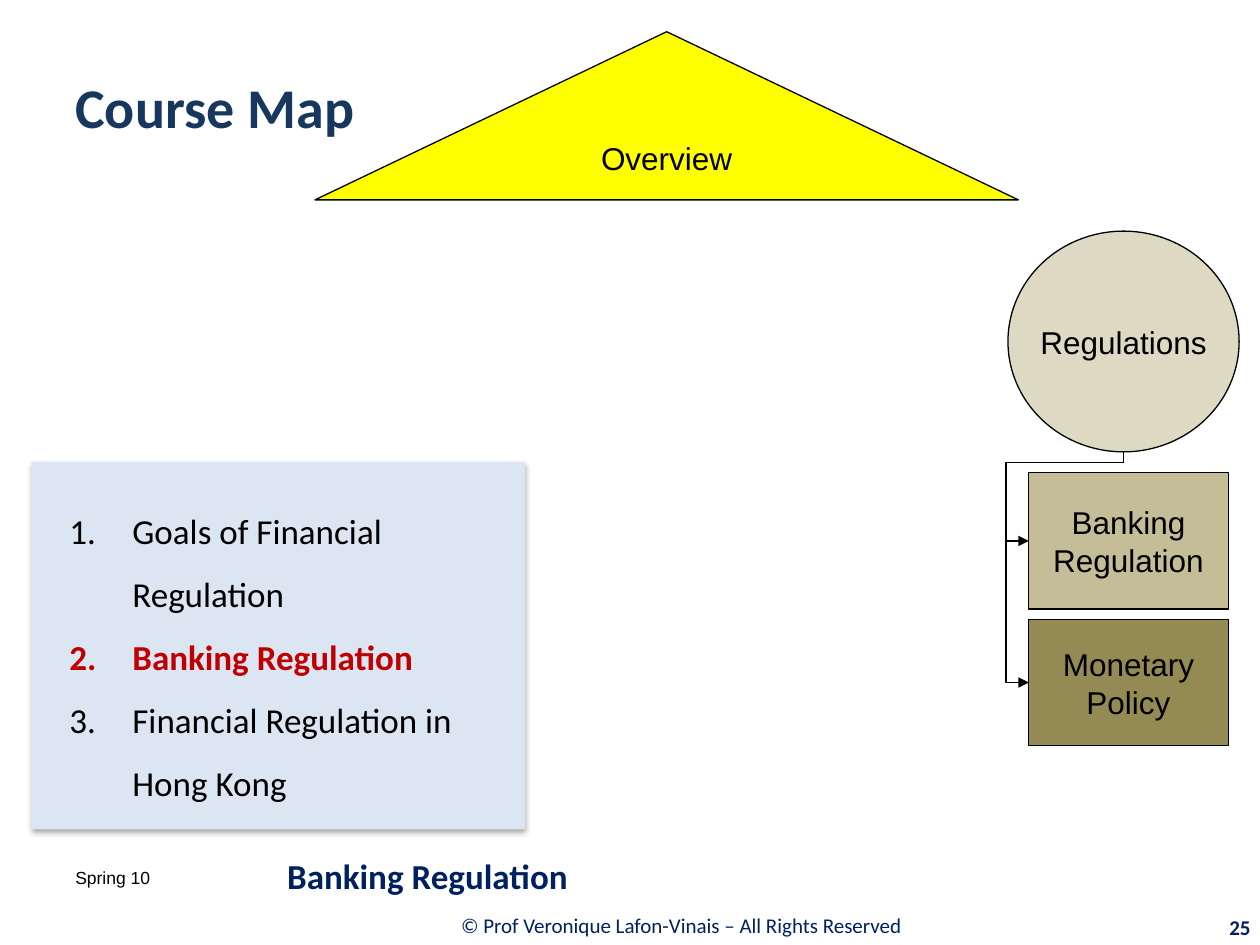
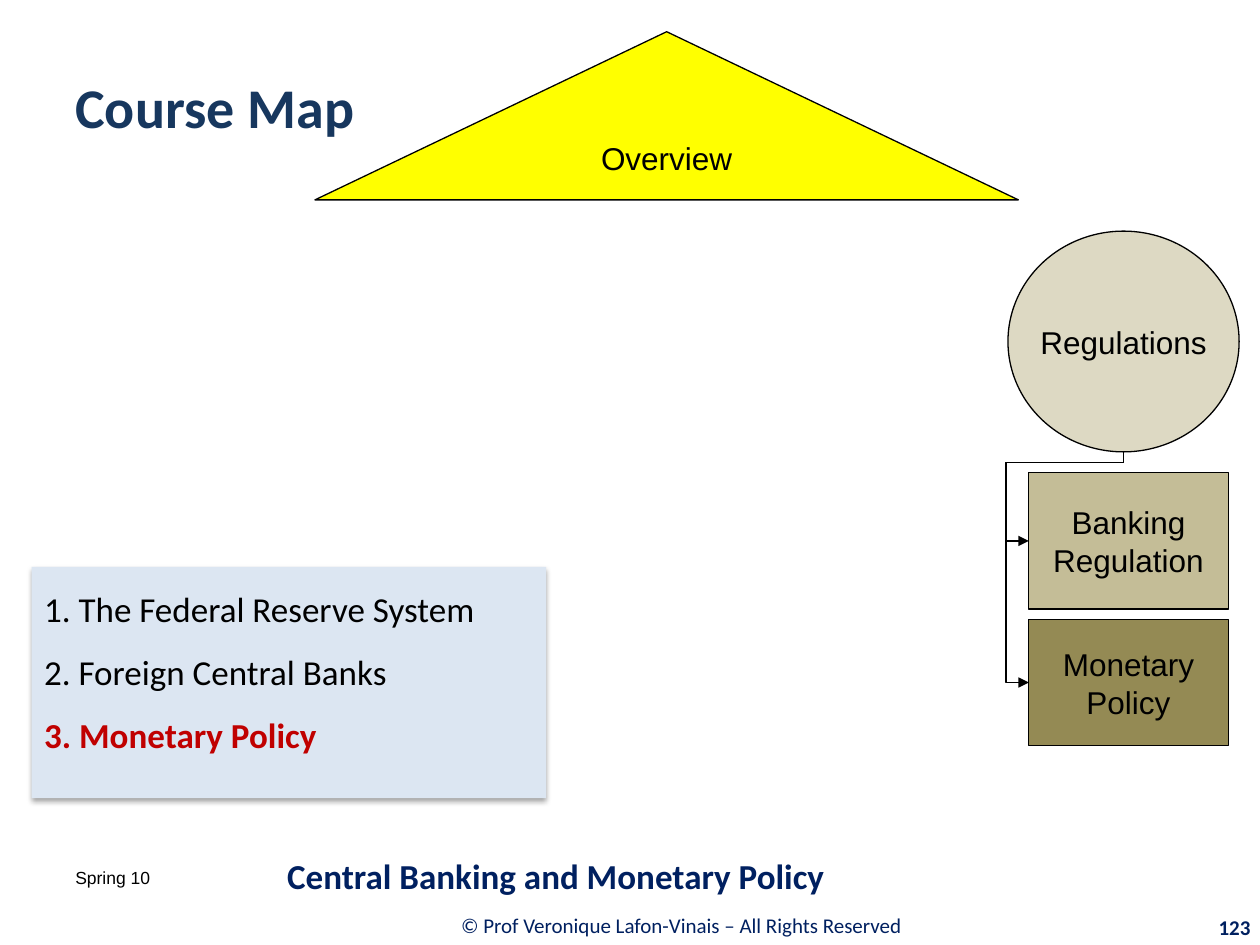
from lxml import etree
from pptx import Presentation
from pptx.dml.color import RGBColor
from pptx.enum.shapes import MSO_CONNECTOR, MSO_SHAPE
from pptx.enum.text import MSO_ANCHOR, PP_ALIGN
from pptx.oxml.ns import qn
from pptx.util import Cm, Pt

LEFT, CENTER, RIGHT = PP_ALIGN.LEFT, PP_ALIGN.CENTER, PP_ALIGN.RIGHT
TOP, MIDDLE = MSO_ANCHOR.TOP, MSO_ANCHOR.MIDDLE
RECT, OVAL, EXTRACT = MSO_SHAPE.RECTANGLE, MSO_SHAPE.OVAL, MSO_SHAPE.FLOWCHART_EXTRACT
ELBOW = MSO_CONNECTOR.ELBOW

COLORS = {
    "black": "000000", "title": "17375E", "navy": "002060", "current": "C00000",
    "panel": "DCE6F2", "sand": "DDD9C3", "tan": "C4BD97", "olive": "948A54",
    "yellow": "FFFF00",
}

# The agenda panel is (left, top, width, height) in cm; current is the item in red.
SLIDES = [
    {"topic": "Banking Regulation", "number": "25", "current": 1, "numbered": True,
     "panel": (0.64, 9.31, 9.95, 7.41), "anchor": MIDDLE,
     "agenda": ["Goals of Financial Regulation", "Banking Regulation",
                "Financial Regulation in Hong Kong"]},
    {"topic": "Central Banking and Monetary Policy", "number": "123", "current": 2,
     "numbered": False, "panel": (0.64, 11.43, 10.37, 4.66), "anchor": TOP,
     "agenda": ["1. The Federal Reserve System", "2. Foreign Central Banks",
                "3. Monetary Policy"]},
]

# Regulations circle and the two boxes it leads to
CIRCLE = (20.32, 4.66, 4.66, 4.45)
BOXES = [("Banking Regulation", (20.74, 9.53, 4.02, 2.75), "tan"),
         ("Monetary Policy", (20.74, 12.49, 4.02, 2.54), "olive")]
ELBOW_DROP, ELBOW_REACH = 0.21, 1.24


def add_text(s, box, text, size, font, color, bold=False, align=LEFT, anchor=MIDDLE):
    tb = s.shapes.add_textbox(*map(Cm, box))
    tf = tb.text_frame
    tf.word_wrap = True
    tf.vertical_anchor = anchor
    p = tf.paragraphs[0]
    p.text = text
    p.alignment = align
    f = p.runs[0].font
    f.size, f.name, f.bold = Pt(size), font, bold
    f.color.rgb = RGBColor.from_string(COLORS[color])


def add_node(s, kind, box, fill, text="", wrap=True):
    """Add a filled shape; with text it also gets a thin outline and a label."""
    sp = s.shapes.add_shape(kind, *map(Cm, box))
    sp.shadow.inherit = False
    sp.fill.solid()
    sp.fill.fore_color.rgb = RGBColor.from_string(COLORS[fill])
    tf = sp.text_frame
    tf.word_wrap = wrap
    tf.vertical_anchor = MIDDLE
    if not text:
        sp.line.fill.background()
        return sp
    sp.line.color.rgb = RGBColor.from_string(COLORS["black"])
    sp.line.width = Pt(0.75)
    p = tf.paragraphs[0]
    p.text = text
    p.alignment = CENTER
    f = p.runs[0].font
    f.size, f.name = Pt(18), "Arial"
    f.color.rgb = RGBColor.from_string(COLORS["black"])
    return sp


prs = Presentation()
prs.slide_width, prs.slide_height = Cm(25.4), Cm(19.05)

for item in SLIDES:
    s = prs.slides.add_slide(prs.slide_layouts[6])

    # Footers and title
    add_text(s, (5.51, 18.16, 16.46, 0.99),
             "© Prof Veronique Lafon-Vinais – All Rights Reserved",
             12, "Calibri", "navy", align=CENTER)
    add_text(s, (1.27, 17.36, 5.92, 1.27), "Spring 10", 10, "Arial", "black", anchor=TOP)
    add_text(s, (1.27, 0.33, 6.55, 3.61), "Course Map", 32, "Calibri", "title", True)
    add_text(s, (22.89, 18.29, 2.57, 0.81), item["number"],
             12, "Calibri", "navy", True, RIGHT)

    # Agenda panel with a soft shadow
    panel = add_node(s, RECT, item["panel"], "panel")
    effects = panel._element.spPr.find(qn("a:effectLst"))
    shadow = etree.SubElement(effects, qn("a:outerShdw"), blurRad="40000", dist="23000",
                              dir="5400000", rotWithShape="0")
    tint = etree.SubElement(shadow, qn("a:srgbClr"), val=COLORS["black"])
    etree.SubElement(tint, qn("a:alpha"), val="35000")

    tf = panel.text_frame
    tf.vertical_anchor = item["anchor"]
    if item["anchor"] == TOP:
        tf.margin_top = 0
    tf.text = "\n".join(item["agenda"])
    for i, p in enumerate(tf.paragraphs):
        p.alignment = LEFT
        p.line_spacing = 1.5
        if item["numbered"]:
            pPr = p._p.get_or_add_pPr()
            pPr.set("marL", str(Cm(1.78)))
            pPr.set("indent", str(-Cm(1.27)))
            etree.SubElement(pPr, qn("a:buFont"), typeface="+mj-lt")
            etree.SubElement(pPr, qn("a:buAutoNum"), type="arabicPeriod")
        current = i == item["current"]
        f = p.runs[0].font
        f.size, f.name, f.bold = Pt(20), "Calibri", current
        f.color.rgb = RGBColor.from_string(COLORS["current" if current else "black"])

    add_text(s, (5.54, 17.06, 19.86, 1.19), item["topic"], 20, "Calibri", "navy", True)

    # Course map
    circle = add_node(s, OVAL, CIRCLE, "sand", "Regulations", wrap=False)
    boxes = [add_node(s, RECT, box, fill, text) for text, box, fill in BOXES]

    # Elbows from the foot of the circle to the left side of each box
    start_x = CIRCLE[0] + CIRCLE[2] / 2
    start_y = CIRCLE[1] + CIRCLE[3]
    for sp, (_, (end_x, top, _, height), _) in zip(boxes, BOXES):
        end_y = top + height / 2
        drop, run = end_y - start_y, start_x - end_x
        x = (start_x + end_x - drop) / 2
        y = (start_y + end_y - run) / 2
        cx = s.shapes.add_connector(ELBOW, Cm(x), Cm(y), Cm(x + drop), Cm(y + run))
        cx.line.color.rgb = RGBColor.from_string(COLORS["black"])
        cx.line.width = Pt(0.75)
        spPr = cx._element.spPr
        spPr.find(qn("a:xfrm")).set("rot", "5400000")
        geom = spPr.find(qn("a:prstGeom"))
        geom.set("prst", "bentConnector4")
        guides = geom.find(qn("a:avLst"))
        for name, value in (("adj1", ELBOW_DROP / drop), ("adj2", ELBOW_REACH)):
            etree.SubElement(guides, qn("a:gd"), name=name, fmla=f"val {round(value * 100000)}")
        etree.SubElement(spPr.find(qn("a:ln")), qn("a:tailEnd"), type="triangle")
        etree.SubElement(spPr, qn("a:effectLst"))
        links = cx._element.find(".//" + qn("p:cNvCxnSpPr"))
        for tag, shape, site in (("a:stCxn", circle, "4"), ("a:endCxn", sp, "1")):
            etree.SubElement(links, qn(tag), id=str(shape.shape_id), idx=site)

    add_node(s, EXTRACT, (6.35, 0.64, 14.18, 3.39), "yellow", "Overview", wrap=False)

prs.save("out.pptx")
